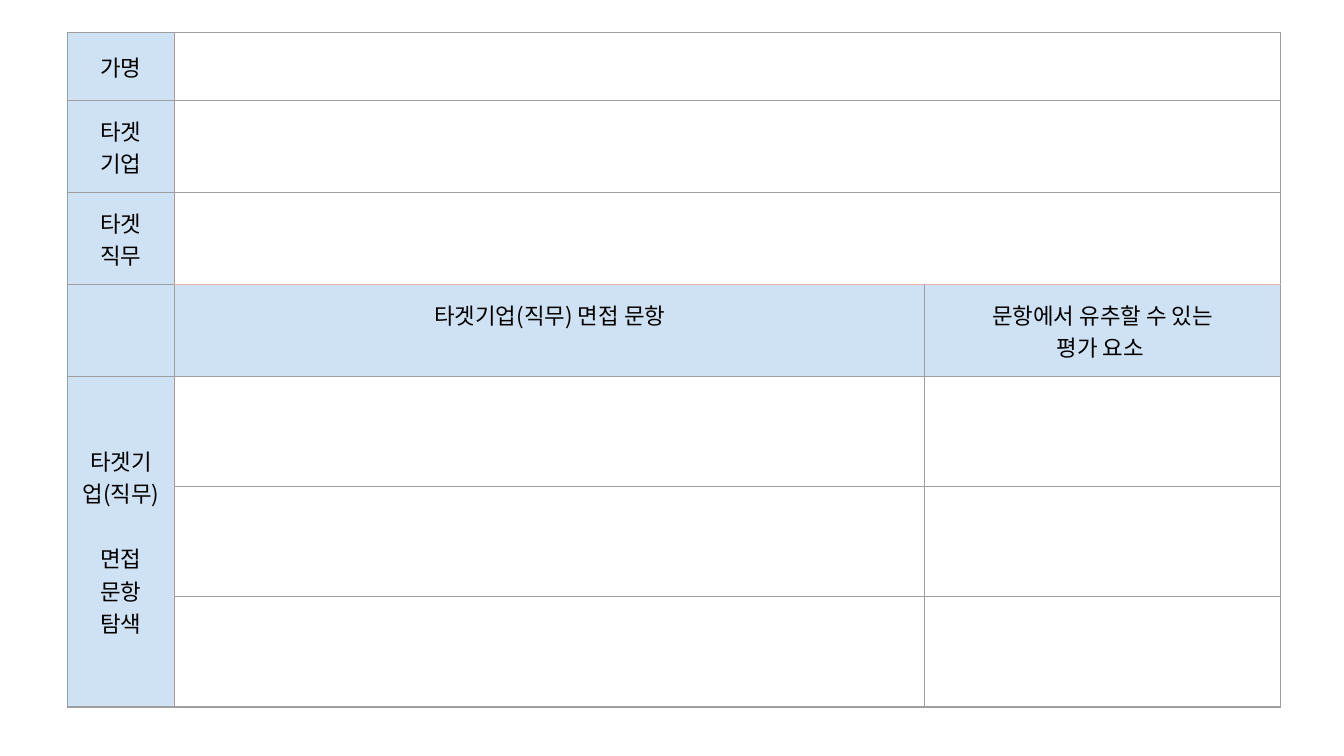
import pptx
import pptx.dml.color
import pptx.enum.text
import pptx.oxml
import pptx.oxml.ns
import pptx.util
from lxml import etree

Inches = pptx.util.Inches
Pt = pptx.util.Pt
qn = pptx.oxml.ns.qn

GRAY, PINK, BLUE, BLACK = "9E9E9E", "E6B8AF", "CFE2F3", "000000"
COLS = [0.8, 5.58, 2.65]
ROWS = [0.51] + [0.68] * 3 + [0.82] * 3
HEAD = 3  # row with the column titles


def rgb(code):
    return pptx.dml.color.RGBColor.from_string(code)


class Sheet:
    font = "Noto Sans CJK KR"
    size = 12
    inset = 0.1

    def __init__(self, slide):
        self.slide = slide

    def table(self, left, top, cols, rows):
        frame = self.slide.shapes.add_table(
            len(rows), len(cols), Inches(left), Inches(top),
            Inches(sum(cols)), Inches(sum(rows)))
        table = frame.table
        table.first_row = table.horz_banding = False
        for col, width in zip(table.columns, cols):
            col.width = Inches(width)
        for row, height in zip(table.rows, rows):
            row.height = Inches(height)
        return table

    def border(self, cell, **other):
        """Draw four gray sides; other gives a side (L, R, T, B) its own colour."""
        props = cell._tc.get_or_add_tcPr()
        for at, side in enumerate("LRTB"):
            line = etree.Element(qn("a:ln" + side), w=str(Pt(0.75)))
            fill = etree.SubElement(line, qn("a:solidFill"))
            etree.SubElement(fill, qn("a:srgbClr"), val=other.get(side, GRAY))
            props.insert(at, line)

    def paint(self, cell, color=None):
        if color:
            cell.fill.solid()
            cell.fill.fore_color.rgb = rgb(color)
        else:
            cell.fill.background()

    def text(self, cell, lines, middle=True, gaps=None):
        """Write centred lines; gaps maps a line number to the points above it."""
        cell.margin_left = cell.margin_right = Inches(self.inset)
        cell.margin_top = cell.margin_bottom = Inches(self.inset)
        anchor = pptx.enum.text.MSO_ANCHOR
        cell.vertical_anchor = anchor.MIDDLE if middle else anchor.TOP
        frame = cell.text_frame
        for num, words in enumerate(lines):
            para = frame.add_paragraph() if num else frame.paragraphs[0]
            para.alignment = pptx.enum.text.PP_ALIGN.CENTER
            if gaps and num in gaps:
                para.space_before = Pt(gaps[num])
            run = para.add_run()
            run.text = words
            run.font.name = self.font
            run.font.size = Pt(self.size)
            run.font.color.rgb = rgb(BLACK)
            etree.SubElement(run.font._element, qn("a:ea"), typeface=self.font)


def main():
    deck = pptx.Presentation()
    deck.slide_width = Inches(10)
    deck.slide_height = deck.slide_width * 9 // 16
    sheet = Sheet(deck.slides.add_slide(deck.slide_layouts[6]))
    table = sheet.table(0.5, 0.24, COLS, ROWS)

    for row in range(len(ROWS)):
        for col in range(len(COLS)):
            cell = table.cell(row, col)
            sheet.paint(cell, BLUE if col == 0 or row == HEAD else None)
            side = {HEAD - 1: "B", HEAD: "T"}.get(row) if col else None
            sheet.border(cell, **({side: PINK} if side else {}))

    for row, label in enumerate(["가명", "타겟 기업", "타겟 직무"]):
        table.cell(row, 1).merge(table.cell(row, 2))
        sheet.text(table.cell(row, 0), [label])

    titles = [["타겟기업(직무) 면접 문항"],
              ["문항에서 유추할 수 있는", "평가 요소 "]]
    for col, lines in enumerate(titles, 1):
        sheet.text(table.cell(HEAD, col), lines, middle=False)

    search = table.cell(HEAD + 1, 0)
    search.merge(table.cell(len(ROWS) - 1, 0))
    sheet.text(search, ["타겟기업(직무)", "면접", "문항 탐색"], gaps={1: 17.5})

    deck.save("out.pptx")


if __name__ == "__main__":
    main()
